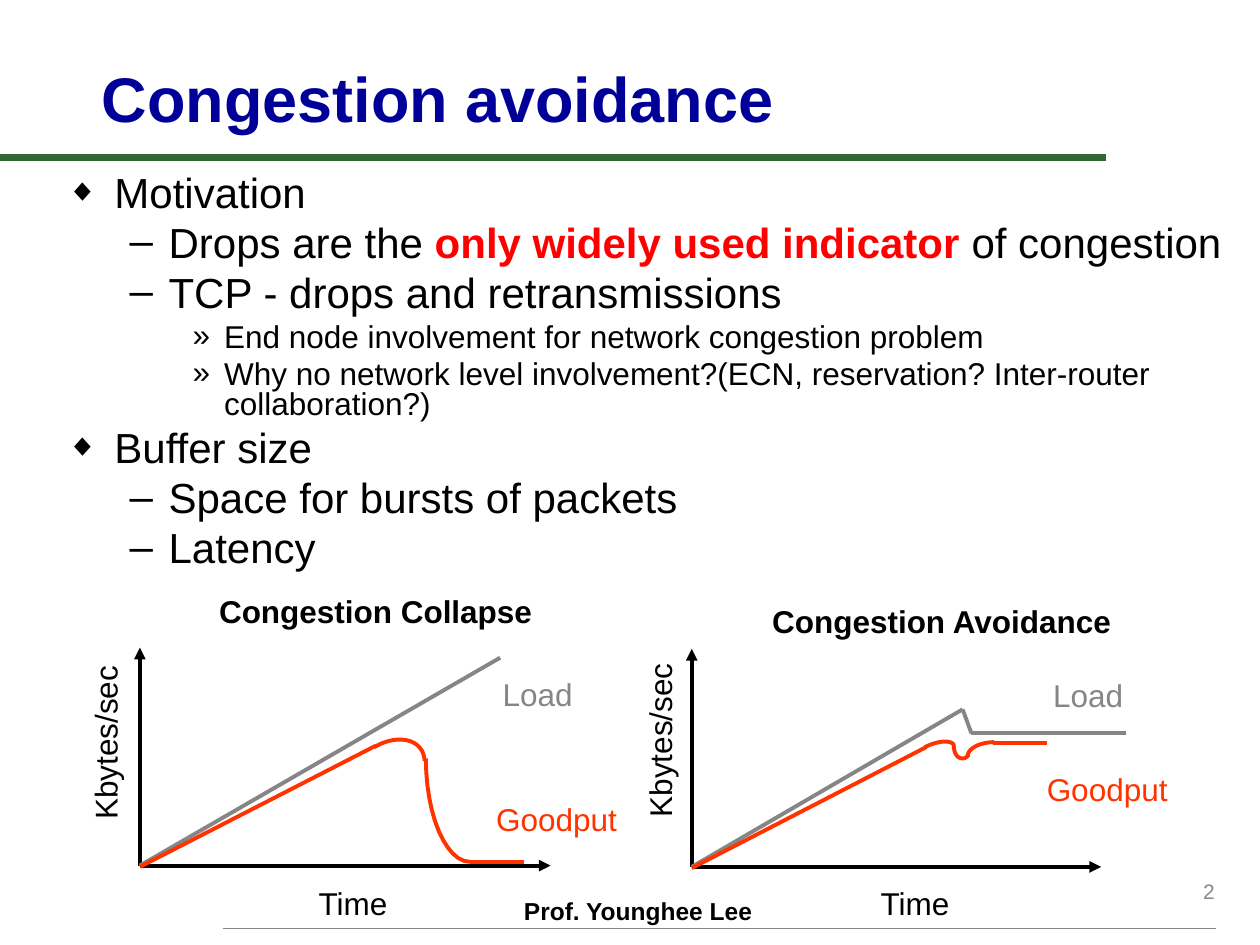
from lxml import etree
from pptx import Presentation
from pptx.dml.color import RGBColor
from pptx.enum import shapes, text
from pptx.oxml import ns
from pptx.util import Inches, Pt

BLACK = RGBColor(0, 0, 0)
NAVY = RGBColor(0, 0, 0x99)
GREEN = RGBColor(0x33, 0x66, 0x33)
RED = RGBColor(0xFF, 0, 0)
ORANGE = RGBColor(0xFF, 0x33, 0)
GRAY = RGBColor(0x86, 0x86, 0x86)
PALE = RGBColor(0x89, 0x89, 0x89)

deck = Presentation()
deck.slide_width, deck.slide_height = Inches(10), Inches(7.5)
slide = deck.slides.add_slide(deck.slide_layouts[6])


def label(box, words, size, color=BLACK, bold=False, wrap=True):
    """Add a text box with one run and return its shape."""
    shape = slide.shapes.add_textbox(*map(Inches, box))
    frame = shape.text_frame
    frame.word_wrap = wrap
    run = frame.paragraphs[0].add_run()
    run.text = words
    run.font.name, run.font.size = "Arial", Pt(size)
    run.font.bold, run.font.color.rgb = bold, color
    return shape


def line(start, end, color, width=2.25, arrow=False):
    """Draw a straight line, with an arrowhead at its end if asked."""
    rule = slide.shapes.add_connector(
        shapes.MSO_CONNECTOR.STRAIGHT, *map(Inches, (*start, *end)))
    rule.line.color.rgb, rule.line.width = color, Pt(width)
    if arrow:
        tail = etree.SubElement(rule.line._get_or_add_ln(), ns.qn("a:tailEnd"))
        tail.set("type", "triangle")
    etree.SubElement(rule._element.spPr, ns.qn("a:effectLst"))


# Frame of the slide
line((0, 1.25), (8.78, 1.25), GREEN, 4)
line((1.77, 7.37), (9.65, 7.37), GRAY, 1)
foot = label((4.06, 7.06, 2.08, 0.33), "Prof. Younghee Lee", 14, bold=True)
foot.text_frame.paragraphs[0].space_before = Pt(8)
page = label((7.66, 6.82, 2.08, 0.5), "2", 12, PALE)
page.text_frame.vertical_anchor = text.MSO_ANCHOR.MIDDLE
page.text_frame.paragraphs[0].alignment = text.PP_ALIGN.RIGHT
title = label((0.71, 0.41, 8.9, 0.71), "Congestion avoidance", 36, NAVY, True)
title.text_frame.vertical_anchor = text.MSO_ANCHOR.BOTTOM

# Bullets: margin, hanging indent, sign, sign size in percent, text size
levels = [
    (0.38, 0.38, "\u25c6", 75, 24),
    (0.81, 0.31, "\u2013", 100, 24),
    (1.25, 0.25, "\u00bb", 100, 18),
]
points = [
    (0, ["Motivation"]),
    (1, ["Drops are the ", "only widely used indicator ", "of congestion"]),
    (1, ["TCP - drops and retransmissions"]),
    (2, ["End node involvement for network congestion problem"]),
    (2, ["Why no network level involvement?"
         "(ECN, reservation? Inter-router collaboration?)"]),
    (0, ["Buffer size"]),
    (1, ["Space for bursts of packets"]),
    (1, ["Latency"]),
]
body = slide.shapes.add_textbox(*map(Inches, (0.43, 1.35, 9.42, 3.19))).text_frame
body.word_wrap = True
for row, (level, parts) in enumerate(points):
    margin, hang, sign, scale, size = levels[level]
    para = body.add_paragraph() if row else body.paragraphs[0]
    para.level = level
    para.line_spacing, para.space_before = 0.8, Pt(size * 0.23)
    props = para._p.get_or_add_pPr()
    props.set("marL", str(Inches(margin)))
    props.set("indent", str(-Inches(hang)))
    tint = etree.SubElement(props, ns.qn("a:buClr"))
    etree.SubElement(tint, ns.qn("a:srgbClr")).set("val", str(BLACK))
    etree.SubElement(props, ns.qn("a:buSzPct")).set("val", str(scale * 1000))
    etree.SubElement(props, ns.qn("a:buFont")).set("typeface", "Arial")
    etree.SubElement(props, ns.qn("a:buChar")).set("char", sign)
    for spot, words in enumerate(parts):
        run = para.add_run()
        run.text = words
        run.font.name, run.font.size = "Arial", Pt(size)
        run.font.bold = spot == 1
        run.font.color.rgb = RED if spot == 1 else BLACK

# Graphs: origin, labels, straight lines and Bezier curves
graphs = [
    dict(
        zero=(1.11, 6.87), top=5.14, end=4.37,
        head=("Congestion Collapse", 1.64, 4.65, 2.71),
        load=(3.89, 5.31), good=(3.84, 6.3), time=2.43, unit=(-0.09, 5.48),
        gray=[(1.11, 6.87), (3.97, 5.22)],
        red=[((1.11, 6.88), (2.98, 5.92)), ((3.73, 6.84), (4.16, 6.84))],
        curves=[
            [(2.97, 5.93), (3.12, 5.84), (3.29, 5.85), (3.35, 5.96),
             (3.36, 5.98), (3.37, 6.01), (3.37, 6.04)],
            [(3.38, 6.02), (3.38, 6.47), (3.54, 6.84), (3.73, 6.84)],
        ]),
    dict(
        zero=(5.49, 6.88), top=5.15, end=8.74,
        head=("Congestion Avoidance", 6.03, 4.73, 2.92),
        load=(8.26, 5.32), good=(8.21, 6.06), time=6.89, unit=(4.31, 5.46),
        gray=[(5.49, 6.88), (7.64, 5.63), (7.71, 5.82), (8.94, 5.82)],
        red=[((5.49, 6.89), (7.35, 5.93)), ((7.88, 5.9), (8.31, 5.9))],
        curves=[
            [(7.34, 5.93), (7.44, 5.88), (7.54, 5.87), (7.57, 5.91),
             (7.57, 5.92), (7.57, 5.93), (7.57, 5.93)],
            [(7.57, 5.92), (7.57, 5.98), (7.6, 6.02), (7.64, 6.02),
             (7.66, 6.02), (7.67, 6.01), (7.69, 5.99)],
            [(7.89, 5.89), (7.78, 5.89), (7.68, 5.94), (7.68, 6)],
        ]),
]
STEPS = 12
for graph in graphs:
    zero = graph["zero"]
    line(zero, (zero[0], graph["top"]), BLACK, arrow=True)
    line(zero, (graph["end"], zero[1]), BLACK, arrow=True)
    for start, end in zip(graph["gray"], graph["gray"][1:]):
        line(start, end, GRAY)
    for start, end in graph["red"]:
        line(start, end, ORANGE)

    for curve in graph["curves"]:
        dots = []
        for first in range(0, len(curve) - 1, 3):
            knots = curve[first:first + 4]
            for step in range(1, STEPS + 1):
                t = step / STEPS
                mix = ((1 - t) ** 3, 3 * t * (1 - t) ** 2, 3 * t * t * (1 - t), t ** 3)
                dots.append([Inches(sum(m * k[axis] for m, k in zip(mix, knots)))
                             for axis in (0, 1)])
        pen = slide.shapes.build_freeform(*map(Inches, curve[0]))
        pen.add_line_segments(dots, close=False)
        bend = pen.convert_to_shape()
        bend.shadow.inherit = False
        bend.fill.background()
        bend.line.color.rgb, bend.line.width = ORANGE, Pt(2.25)

    name, left, top, width = graph["head"]
    label((left, top, width, 0.4), name, 18, bold=True, wrap=False)
    label((*graph["load"], 0.76, 0.4), "Load", 18, GRAY, wrap=False)
    label((*graph["good"], 1.17, 0.4), "Goodput", 18, ORANGE, wrap=False)
    label((graph["time"], 6.97, 0.75, 0.4), "Time", 18, wrap=False)
    unit = label((*graph["unit"], 1.85, 0.4), "Kbytes/sec", 18)
    unit.rotation = 270

deck.save("out.pptx")
